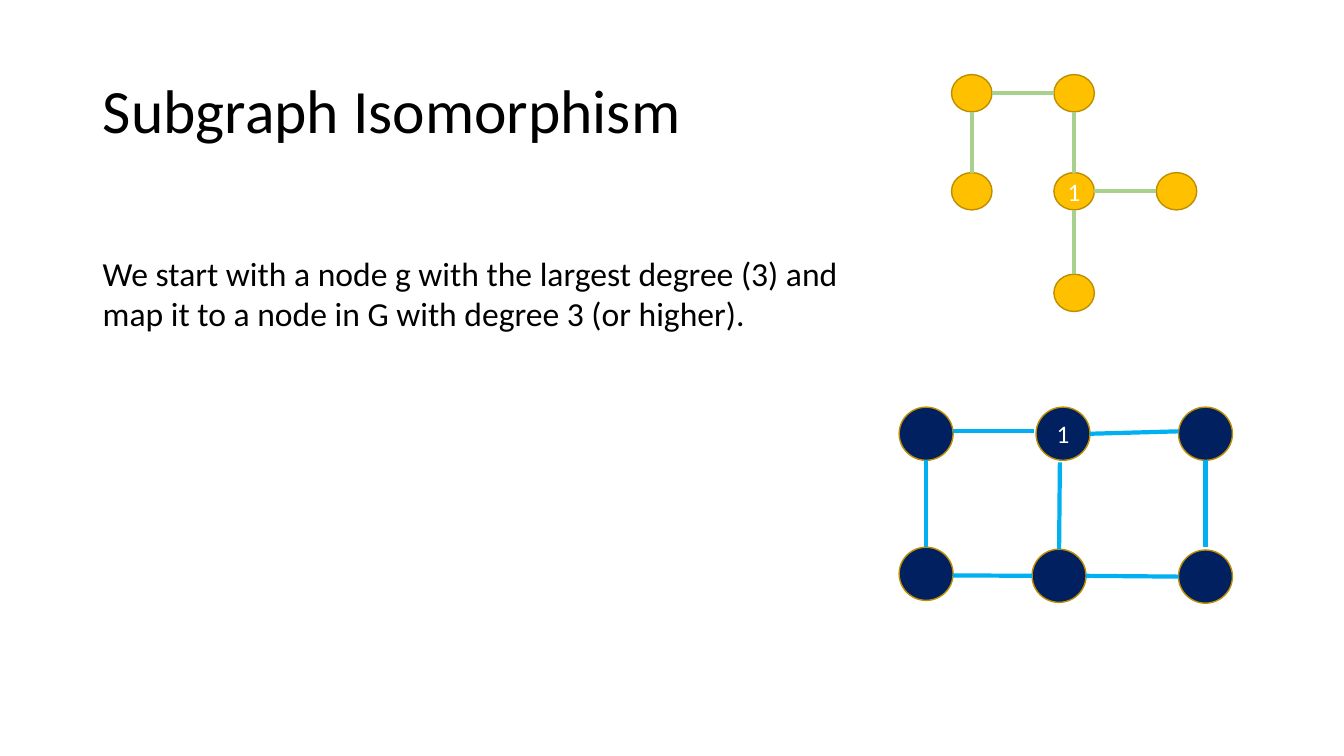
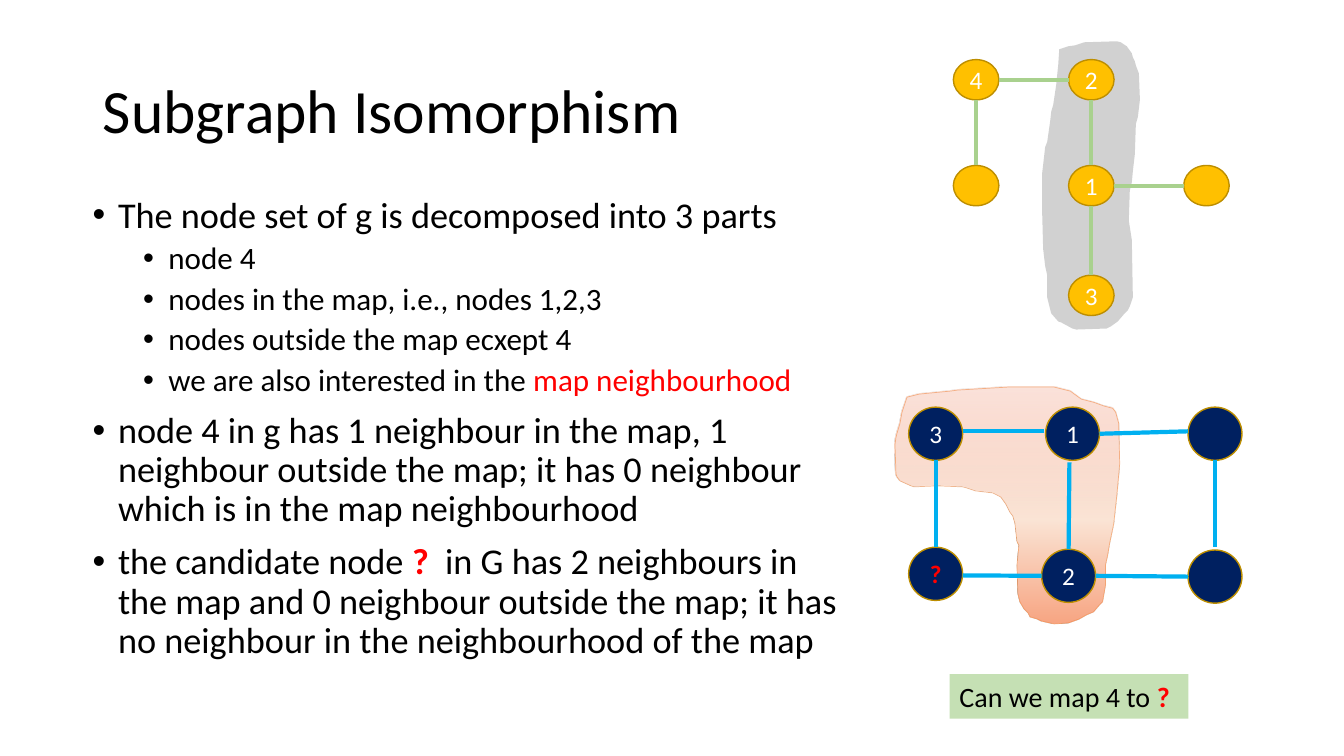
"""Build two slides that explain subgraph isomorphism with a pattern graph and a target graph."""
from pptx import Presentation
from pptx.dml.color import RGBColor
from pptx.enum.shapes import MSO_CONNECTOR as Connector, MSO_SHAPE as Shape
from pptx.enum.text import MSO_ANCHOR as Anchor, MSO_AUTO_SIZE as AutoSize, PP_ALIGN as Align
from pptx.oxml import parse_xml
from pptx.oxml.ns import nsdecls, qn
from pptx.util import Cm, Pt

FONT = "Calibri"
BLACK, WHITE, RED = "000000", "FFFFFF", "FF0000"
NODE_OUTLINE, CAPTION_FILL = "BD8E00", "C5E0B4"
TITLE = "Subgraph Isomorphism"
TITLE_BOX = (2.34, 1.02, 18.31, 3.68)
TITLE_LAYOUT, BODY_LAYOUT = 5, 1

PATTERN = {
    "fill": "FFC000", "edge": "A9D18E", "size": (1.02, 0.94),
    "nodes": {"corner": (0, 0), "top": (2.58, 0), "left": (0, 2.47), "hub": (2.58, 2.47),
              "right": (5.16, 2.47), "bottom": (2.58, 5.03)},
    "edges": [("corner", "top"), ("top", "hub"), ("corner", "left"), ("hub", "right"), ("hub", "bottom")],
}
TARGET = {
    "fill": "002060", "edge": "00B0F0", "size": (1.36, 1.34),
    "nodes": {"top left": (0, 0), "top": (3.45, 0), "top right": (7.04, 0),
              "bottom left": (0, 3.53), "bottom": (3.35, 3.58), "bottom right": (7.04, 3.6)},
    "edges": [("top left", "top", 0, -0.06, -0.05, -0.06), ("top", "top right", 0, 0, 0, -0.06),
              ("bottom left", "bottom", 0, 0.04, 0, 0), ("bottom", "bottom right"),
              ("top left", "bottom left"), ("top", "bottom", -0.08, 0.05, 0, 0),
              ("top right", "bottom right", 0, 0, 0, -0.08)],
}

START_TEXT = ["We start with a node g with the largest degree (3) and",
              "map it to a node in G with degree 3 (or higher)."]
BULLETS = [
    (0, [("The node set of g is decomposed into 3 parts", {})]),
    (1, [("node 4", {})]),
    (1, [("nodes in the map, i.e., nodes 1,2,3", {})]),
    (1, [("nodes outside the map ecxept 4", {})]),
    (1, [("we are also interested in the ", {}), ("map neighbourhood", {"color": RED})]),
    (0, [("node 4 in g has 1 neighbour in the map, 1 neighbour outside the map; "
          "it has 0 neighbour which is in the map neighbourhood", {})]),
    (0, [("the candidate node ", {}), ("? ", {"color": RED, "bold": True}),
         (" in G has 2 neighbours in the map and 0 neighbour outside the map; "
          "it has no neighbour in the neighbourhood of the map", {})]),
]
LEVELS = [{"size": 25.9, "indent": 0.64, "before": 10}, {"size": 22.2, "indent": 1.91, "before": 5}]
HANGING = 0.64
CAPTION = [("Can we map 4 to ", {}), ("?", {"color": RED, "bold": True})]

OUTLINE_UNIT = Cm(2.54) / 100
PATTERN_MAP = [
    (1051, 49), (1050, 64), (1048, 84), (1045, 104), (1043, 111), (1042, 120), (1040, 134), (1039, 141),
    (1037, 146), (1036, 155), (1034, 172), (1034, 210), (1035, 247), (1037, 264), (1039, 273), (1039, 295),
    (1042, 307), (1043, 311), (1050, 319), (1053, 320), (1064, 326), (1068, 327), (1098, 326), (1102, 324),
    (1109, 319), (1115, 312), (1119, 308), (1121, 304), (1124, 295), (1123, 238), (1120, 219), (1121, 189),
    (1123, 181), (1124, 170), (1126, 153), (1127, 123), (1129, 116), (1131, 99), (1130, 73), (1127, 65),
    (1126, 61), (1124, 57), (1123, 53), (1118, 46), (1112, 42), (1108, 41), (1076, 42), (1067, 45), (1060, 46),
]
TARGET_MAP = [
    (900, 394), (895, 409), (893, 420), (890, 430), (889, 434), (888, 441), (889, 470), (890, 473),
    (893, 477), (904, 482), (907, 483), (930, 482), (955, 483), (959, 484), (968, 487), (985, 489),
    (989, 491), (993, 493), (998, 500), (1002, 508), (1005, 512), (1007, 519), (1009, 537), (1011, 541),
    (1009, 561), (1010, 589), (1012, 597), (1016, 604), (1020, 608), (1022, 612), (1029, 614), (1033, 616),
    (1046, 619), (1060, 618), (1071, 614), (1078, 610), (1085, 607), (1091, 600), (1094, 597), (1097, 580),
    (1097, 560), (1099, 551), (1101, 539), (1105, 520), (1108, 493), (1111, 460), (1110, 420), (1107, 409),
    (1104, 405), (1096, 403), (1085, 399), (1073, 396), (1066, 391), (1062, 388), (1046, 384), (1000, 384),
    (950, 387), (943, 388), (912, 391), (904, 393),
]
PATTERN_SHADE = ("A5A5A5", 50)
TARGET_STOPS = [(0, "F6B6A1", 38), (56, "FBE5D6", 100), (100, "F8A582", 100)]
TARGET_BORDER = ("ED7D31", 50)


def rgb(value):
    return RGBColor.from_string(value)


def apply_format(target, values):
    for name, value in values.items():
        setattr(target, name, value)


def add_runs(paragraph, runs, size):
    for text, style in runs:
        run = paragraph.add_run()
        run.text = text
        apply_format(run.font, {"name": FONT, "size": Pt(size), "bold": style.get("bold", False)})
        run.font.color.rgb = rgb(style.get("color", BLACK))


def next_paragraph(frame, index):
    return frame.add_paragraph() if index else frame.paragraphs[0]


def place(shape, box):
    apply_format(shape, dict(zip(("left", "top", "width", "height"), map(Cm, box))))


def fill_shape(shape, color, outline=None):
    shape.shadow.inherit = False
    shape.fill.solid()
    shape.fill.fore_color.rgb = rgb(color)
    if outline:
        shape.line.color.rgb = rgb(outline)
        shape.line.width = Pt(1)
    else:
        shape.line.fill.background()


def set_alpha(element, percent):
    color = element.find(".//" + qn("a:srgbClr"))
    color.append(parse_xml(f'<a:alpha {nsdecls("a")} val="{percent * 1000}"/>'))


def add_slide(presentation, layout):
    slide = presentation.slides.add_slide(presentation.slide_layouts[layout])
    title = slide.shapes.title
    place(title, TITLE_BOX)
    apply_format(title.text_frame, {"auto_size": AutoSize.NONE, "vertical_anchor": Anchor.MIDDLE})
    paragraph = title.text_frame.paragraphs[0]
    apply_format(paragraph, {"alignment": Align.LEFT, "line_spacing": 0.9})
    add_runs(paragraph, [(TITLE, {})], 44)
    return slide


def add_outline(group, points):
    builder = group.shapes.build_freeform(*points[0], scale=OUTLINE_UNIT)
    builder.add_line_segments(points[1:], close=True)
    outline = builder.convert_to_shape()
    outline.shadow.inherit = False
    return outline


def add_pattern_map(group):
    color, opacity = PATTERN_SHADE
    outline = add_outline(group, PATTERN_MAP)
    fill_shape(outline, color)
    set_alpha(outline.element.spPr.find(qn("a:solidFill")), opacity)


def add_target_map(group):
    outline = add_outline(group, TARGET_MAP)
    stops = "".join(
        f'<a:gs pos="{position * 1000}"><a:srgbClr val="{color}"><a:alpha val="{opacity * 1000}"/></a:srgbClr></a:gs>'
        for position, color, opacity in TARGET_STOPS)
    gradient = parse_xml(f'<a:gradFill {nsdecls("a")} rotWithShape="1"><a:gsLst>{stops}</a:gsLst>'
                         '<a:lin ang="5400000" scaled="0"/></a:gradFill>')
    outline.element.spPr.find(qn("a:custGeom")).addnext(gradient)
    color, opacity = TARGET_BORDER
    outline.line.color.rgb = rgb(color)
    outline.line.width = Pt(0.5)
    set_alpha(outline.element.spPr.find(qn("a:ln")), opacity)


def add_node(group, graph, center, size, label):
    (x, y), (width, height) = center, size
    node = group.shapes.add_shape(Shape.OVAL, *map(Cm, (x - width / 2, y - height / 2, width, height)))
    fill_shape(node, graph["fill"], NODE_OUTLINE)
    if label:
        frame = node.text_frame
        apply_format(frame, {"word_wrap": False, "vertical_anchor": Anchor.MIDDLE, "margin_left": 0,
                             "margin_right": 0, "margin_top": 0, "margin_bottom": 0})
        frame.paragraphs[0].alignment = Align.CENTER
        unknown = label == "?"
        add_runs(frame.paragraphs[0], [(label, {"color": RED if unknown else WHITE, "bold": unknown})], 18)


def add_edge(group, color, start, end, size, nudge):
    (x1, y1), (x2, y2) = start, end
    half_width, half_height = size[0] / 2, size[1] / 2
    if abs(x2 - x1) > abs(y2 - y1):
        ends = (x1 + half_width, y1, x2 - half_width, y2)
    else:
        ends = (x1, y1 + half_height, x2, y2 - half_height)
    moved = [Cm(value + shift) for value, shift in zip(ends, nudge or (0, 0, 0, 0))]
    edge = group.shapes.add_connector(Connector.STRAIGHT, *moved)
    edge.line.color.rgb = rgb(color)
    edge.line.width = Pt(3)
    edge.element.spPr.append(parse_xml(f'<a:effectLst {nsdecls("a")}/>'))


def add_graph(slide, graph, origin, labels, scale=(1, 1), add_map=None):
    group = slide.shapes.add_group_shape()
    if add_map:
        add_map(group)
    size = [length * factor for length, factor in zip(graph["size"], scale)]
    centers = {name: [start + offset * factor for start, offset, factor in zip(origin, point, scale)]
               for name, point in graph["nodes"].items()}
    for name, center in centers.items():
        add_node(group, graph, center, size, labels.get(name))
    for start, end, *nudge in graph["edges"]:
        add_edge(group, graph["edge"], centers[start], centers[end], size, nudge)


def add_bullets(body):
    place(body, (2.08, 4.83, 19.41, 12.09))
    frame = body.text_frame
    apply_format(frame, {"auto_size": AutoSize.NONE, "word_wrap": True, "vertical_anchor": Anchor.TOP})
    for index, (level, runs) in enumerate(BULLETS):
        style = LEVELS[level]
        paragraph = next_paragraph(frame, index)
        properties = paragraph._p.get_or_add_pPr()
        properties.set("marL", str(Cm(style["indent"])))
        properties.set("indent", str(-Cm(HANGING)))
        properties.append(parse_xml(f'<a:buFont {nsdecls("a")} typeface="Arial"/>'))
        properties.append(parse_xml(f'<a:buChar {nsdecls("a")} char="•"/>'))
        apply_format(paragraph, {"level": level, "line_spacing": 0.9, "space_after": Pt(0),
                                 "space_before": Pt(style["before"] if index else 0)})
        add_runs(paragraph, runs, style["size"])


def build_start_slide(presentation):
    slide = add_slide(presentation, TITLE_LAYOUT)
    add_graph(slide, PATTERN, (24.49, 2.35), {"hub": "1"})
    add_graph(slide, TARGET, (23.34, 10.93), {"top": "1"})
    frame = slide.shapes.add_textbox(*map(Cm, (2.34, 6.25, 19.38, 2.31))).text_frame
    frame.word_wrap = True
    for index, line in enumerate(START_TEXT):
        add_runs(next_paragraph(frame, index), [(line, {})], 24)


def build_candidate_slide(presentation):
    slide = add_slide(presentation, BODY_LAYOUT)
    add_graph(slide, PATTERN, (24.6, 2.01), {"corner": "4", "top": "2", "hub": "1", "bottom": "3"},
              (1.125, 1.08), add_pattern_map)
    add_graph(slide, TARGET, (23.58, 10.93), {"top left": "3", "top": "1", "bottom left": "?", "bottom": "2"},
              add_map=add_target_map)
    add_bullets(slide.placeholders[1])
    caption = slide.shapes.add_shape(Shape.RECTANGLE, *map(Cm, (23.93, 16.99, 6.02, 1.12)))
    fill_shape(caption, CAPTION_FILL)
    apply_format(caption.text_frame, {"word_wrap": True, "vertical_anchor": Anchor.TOP})
    caption.text_frame.paragraphs[0].alignment = Align.LEFT
    add_runs(caption.text_frame.paragraphs[0], CAPTION, 20)


def main():
    presentation = Presentation()
    apply_format(presentation, {"slide_width": Cm(33.87), "slide_height": Cm(19.05)})
    build_start_slide(presentation)
    build_candidate_slide(presentation)
    presentation.save("out.pptx")


if __name__ == "__main__":
    main()
